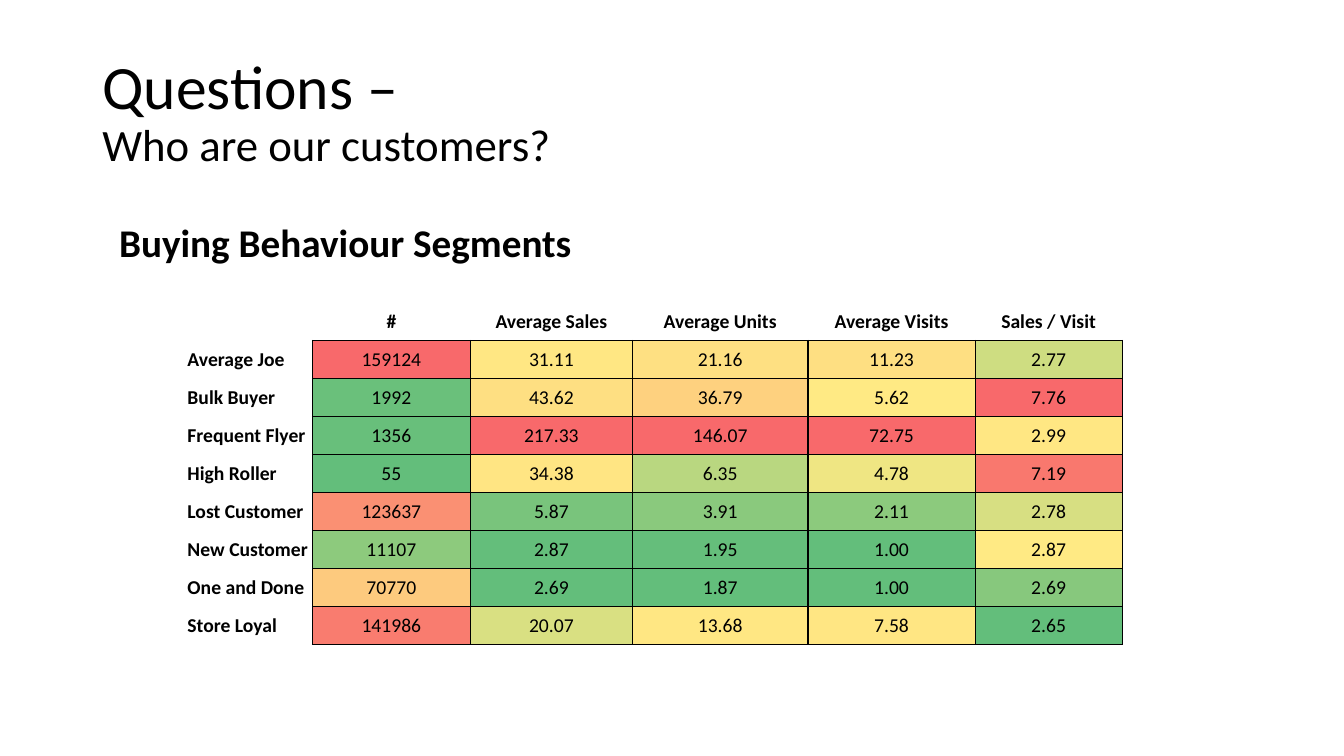
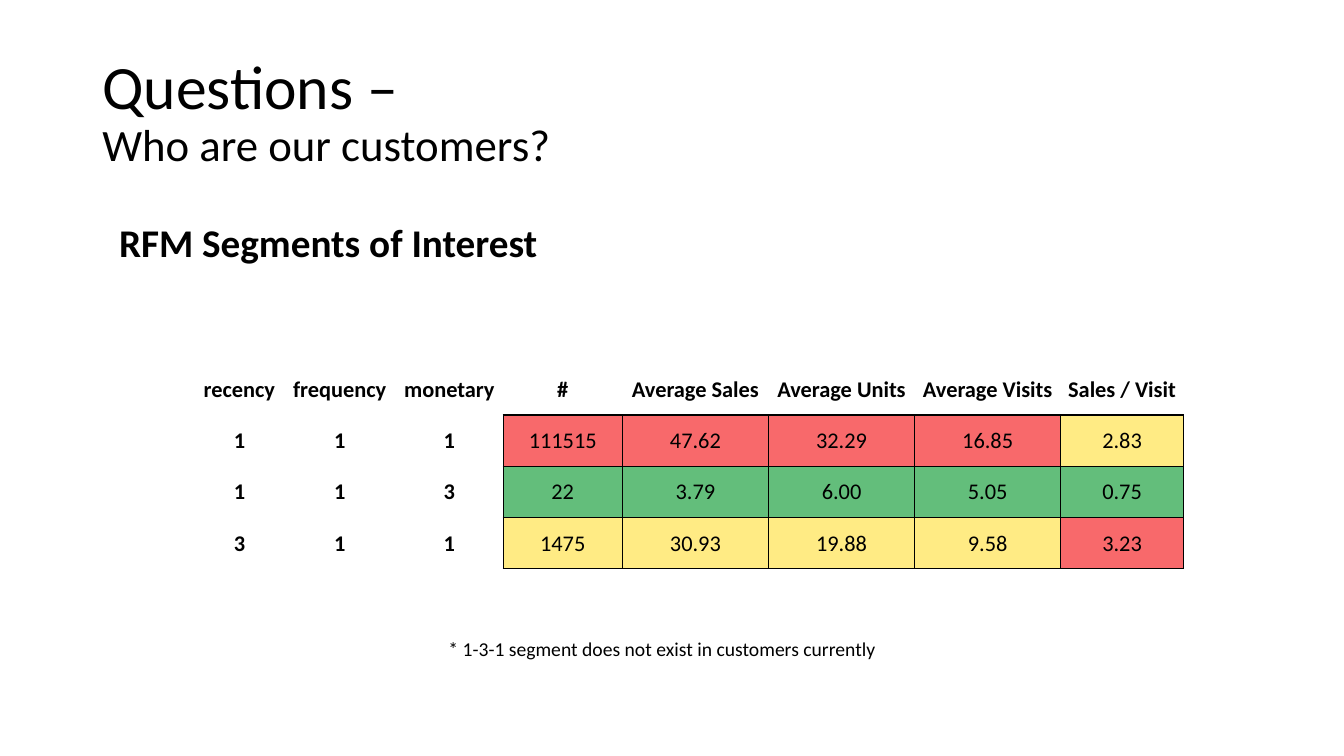
from lxml.etree import SubElement
from pptx import Presentation
from pptx.dml.color import RGBColor
from pptx.enum.text import MSO_ANCHOR as Anchor, PP_ALIGN as Align
from pptx.oxml.ns import qn
from pptx.util import Inches, Pt

# Shared look: a grid of 160 x 90 square cells
SLIDE_W, SLIDE_H = Inches(13.333), Inches(7.5)
GRID_COLS = 160
FONT = "Calibri"
BLACK = RGBColor(0x00, 0x00, 0x00)
LOW = RGBColor(0x63, 0xBE, 0x7B)
MIDDLE = RGBColor(0xFF, 0xEB, 0x84)
HIGH = RGBColor(0xF8, 0x69, 0x6B)
PLAIN_TABLE = "{2D5ABB26-0587-4C30-8999-92F81FD0307C}"
MEASURES = ["#", "Average Sales", "Average Units", "Average Visits", "Sales / Visit"]

# Slide content
BEHAVIOUR = [
    ["Average Joe", "159124", "31.11", "21.16", "11.23", "2.77"],
    ["Bulk Buyer", "1992", "43.62", "36.79", "5.62", "7.76"],
    ["Frequent Flyer", "1356", "217.33", "146.07", "72.75", "2.99"],
    ["High Roller", "55", "34.38", "6.35", "4.78", "7.19"],
    ["Lost Customer", "123637", "5.87", "3.91", "2.11", "2.78"],
    ["New Customer", "11107", "2.87", "1.95", "1.00", "2.87"],
    ["One and Done", "70770", "2.69", "1.87", "1.00", "2.69"],
    ["Store Loyal", "141986", "20.07", "13.68", "7.58", "2.65"],
]
RFM = [
    ["1", "1", "1", "111515", "47.62", "32.29", "16.85", "2.83"],
    ["1", "1", "3", "22", "3.79", "6.00", "5.05", "0.75"],
    ["3", "1", "1", "1475", "30.93", "19.88", "9.58", "3.23"],
]


def grid(cells):
    return round(SLIDE_W * cells / GRID_COLS)


def set_font(font, size, bold=False):
    font.name, font.size, font.bold = FONT, Pt(size), bold
    font.color.rgb = BLACK


def add_text(slide, place, text, size, bold=False):
    frame = slide.shapes.add_textbox(*map(grid, place)).text_frame
    frame.word_wrap = True
    line = frame.paragraphs[0]
    line.line_spacing = 0.9
    line.space_before = Pt(10)
    line.text = text
    set_font(line.font, size, bold)


def add_title(slide):
    frame = slide.shapes.add_textbox(*map(grid, (11, 4.8, 138, 17.4))).text_frame
    frame.word_wrap = True
    frame.vertical_anchor = Anchor.MIDDLE
    title = frame.paragraphs[0]
    title.line_spacing = 0.9
    set_font(title.font, 44)
    title.add_run().text = "Questions – "
    title.add_line_break()
    question = title.add_run()
    question.text = "Who are our customers?"
    question.font.size = Pt(32)


def scale_colour(value, column):
    """Three-colour scale: lowest, median and highest value of a column."""
    ranked = sorted(column)
    half = len(ranked) // 2
    median = (ranked[half] + ranked[-half - 1]) / 2
    if value <= median:
        start, end, first, last = ranked[0], median, LOW, MIDDLE
    else:
        start, end, first, last = median, ranked[-1], MIDDLE, HIGH
    share = (value - start) / (end - start)
    return RGBColor(*(round(a + (b - a) * share) for a, b in zip(first, last)))


def add_borders(cell, sides):
    properties = cell._tc.get_or_add_tcPr()
    for side in sides:
        line = SubElement(properties, qn(f"a:ln{side}"), w=str(Pt(1)))
        fill = SubElement(line, qn("a:solidFill"))
        SubElement(fill, qn("a:srgbClr"), val=str(BLACK))


def write_cell(cell, text, size, bold, align):
    cell.margin_left = cell.margin_right = cell.margin_top = Inches(0.01)
    cell.margin_bottom = 0
    cell.vertical_anchor = Anchor.MIDDLE
    entry = cell.text_frame.paragraphs[0]
    entry.text = text
    entry.alignment = align
    set_font(entry.font, size, bold)


def add_heatmap(slide, corner, widths, row_height, labels, records, size,
                label_align=Align.CENTER):
    rows = [labels + MEASURES] + records
    stubs = len(labels)
    frame = slide.shapes.add_table(
        len(rows), len(widths), *map(grid, corner),
        grid(sum(widths)), grid(row_height * len(rows)))
    table = frame.table
    table.first_row = table.horz_banding = False
    table._tbl.tblPr.find(qn("a:tableStyleId")).text = PLAIN_TABLE
    for column, width in zip(table.columns, widths):
        column.width = grid(width)
    for r, values in enumerate(rows):
        table.rows[r].height = grid(row_height)
        for c, text in enumerate(values):
            cell = table.cell(r, c)
            measured = r > 0 and c >= stubs
            write_cell(cell, text, size, not measured,
                       label_align if c < stubs else Align.CENTER)
            if measured:
                add_borders(cell, "LRTB")
                cell.fill.solid()
                cell.fill.fore_color.rgb = scale_colour(
                    float(text), [float(record[c]) for record in records])
                continue
            # Label cells share only the edge that touches the measures
            if c >= stubs:
                add_borders(cell, "B")
            elif r > 0 and c == stubs - 1:
                add_borders(cell, "R")
            cell.fill.background()


def add_question_slide(deck, heading):
    slide = deck.slides.add_slide(deck.slide_layouts[6])
    add_title(slide)
    add_text(slide, (13, 26, 138, 57), heading, 28, bold=True)
    return slide


def main():
    deck = Presentation()
    deck.slide_width, deck.slide_height = SLIDE_W, SLIDE_H

    # Buying behaviour
    behaviour = add_question_slide(deck, "Buying Behaviour Segments")
    add_heatmap(behaviour, (22.2, 36), [15, 18.8, 19.3, 20.9, 19.9, 17.5], 4.53,
                [""], BEHAVIOUR, 14, Align.LEFT)

    # Recency, frequency and monetary segments
    rfm = add_question_slide(deck, "RFM Segments of Interest")
    add_heatmap(rfm, (23.2, 43.3), [10.6, 13.3, 12.8, 14.2, 17.4, 17.4, 17.4, 14.6],
                6.1, ["recency", "frequency", "monetary"], RFM, 16)
    add_text(rfm, (52.2, 75.5, 59.6, 11.6),
             "* 1-3-1 segment does not exist in customers currently", 14)

    deck.save("out.pptx")


main()
